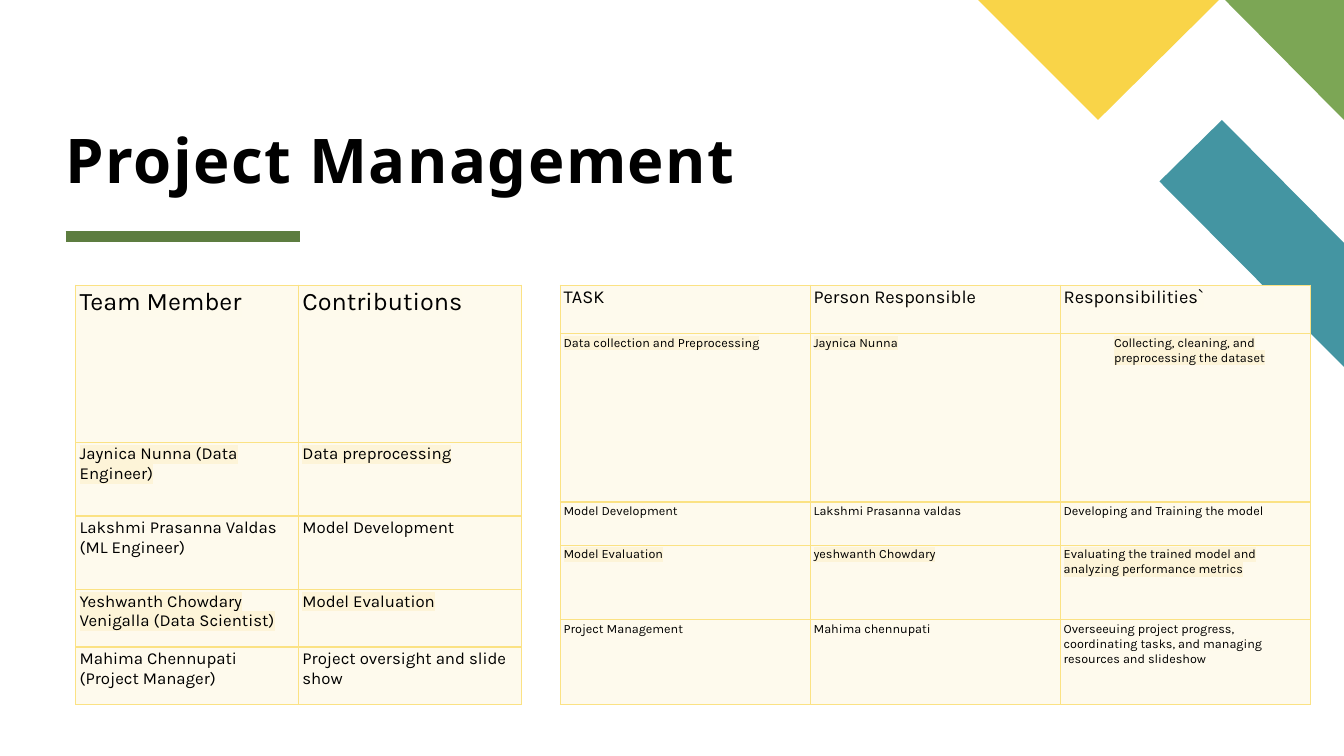
from lxml import etree
from pptx import Presentation
from pptx.dml.color import RGBColor
from pptx.enum.shapes import MSO_CONNECTOR
from pptx.enum.text import MSO_ANCHOR
from pptx.oxml.ns import qn
from pptx.util import Inches, Pt

BOTTOM, TOP = MSO_ANCHOR.BOTTOM, MSO_ANCHOR.TOP
STRAIGHT = MSO_CONNECTOR.STRAIGHT
W, H = 13.33, 7.5
MARGIN, TABLE_TOP = 0.65, 2.83
COLORS = {
    "teal": "4495A2", "green": "7CA655", "yellow": "F9D448", "rule": "5D7D40",
    "text": "000000", "cell": "FEFAED", "border": "FBE284",
    "plain": "FEFAEC", "band": "FDF4D8",
}


def style_run(r, font, size):
    r.font.name, r.font.size = font, Pt(size)
    r.font.color.rgb = RGBColor.from_string(COLORS["text"])


def add_grid(s, left, col_w, row_heights, rows, sizes, inset):
    """Add a bordered table; sizes holds the header and body text sizes."""
    n_cols = len(rows[0])
    frame = s.shapes.add_table(len(rows), n_cols, Inches(left), Inches(TABLE_TOP),
                               Inches(col_w * n_cols), Inches(sum(row_heights)))
    table = frame.table
    table.first_row = table.horz_banding = False
    for col in table.columns:
        col.width = Inches(col_w)
    for i, texts in enumerate(rows):
        table.rows[i].height = Inches(row_heights[i])
        for j, text in enumerate(texts):
            cell = table.cell(i, j)
            cell.margin_left = cell.margin_right = Inches(inset)
            cell.margin_top = cell.margin_bottom = Inches(0.02)
            cell.vertical_anchor = TOP
            cell.fill.solid()
            cell.fill.fore_color.rgb = RGBColor.from_string(COLORS["cell"])
            tcPr = cell._tc.get_or_add_tcPr()
            for k, side in enumerate(("lnL", "lnR", "lnT", "lnB")):
                ln = etree.Element(qn("a:" + side), w=str(Pt(1)))
                fill = etree.SubElement(ln, qn("a:solidFill"))
                etree.SubElement(fill, qn("a:srgbClr"), val=COLORS["border"])
                tcPr.insert(k, ln)
            r = cell.text_frame.paragraphs[0].add_run()
            r.text = text
            style_run(r, "Karla", sizes[min(i, 1)])
            # Odd rows carry the darker text highlight
            highlight = etree.Element(qn("a:highlight"))
            etree.SubElement(highlight, qn("a:srgbClr"),
                             val=COLORS["band" if i % 2 else "plain"])
            r._r.rPr.find(qn("a:solidFill")).addnext(highlight)
    return table


prs = Presentation()
prs.slide_width, prs.slide_height = Inches(W), Inches(H)
s = prs.slides.add_slide(prs.slide_layouts[6])

# Corner decoration
corner = [
    ("teal", [(W, 3.64), (W, 2.41), (12.12, 1.19), (11.5, 1.8)]),
    ("green", [(W, 1.19), (W, 0), (12.15, 0)]),
    ("yellow", [(9.7, 0), (10.89, 1.19), (12.09, 0)]),
]
for color, outline in corner:
    points = [(Inches(x), Inches(y)) for x, y in outline]
    builder = s.shapes.build_freeform(*points[0])
    builder.add_line_segments(points[1:], close=True)
    sp = builder.convert_to_shape()
    sp.shadow.inherit = False
    sp.fill.solid()
    sp.fill.fore_color.rgb = RGBColor.from_string(COLORS[color])
    sp.line.fill.background()

# Title and the rule below it
rule = s.shapes.add_connector(STRAIGHT, Inches(MARGIN), Inches(2.35),
                              Inches(2.98), Inches(2.35))
rule.line.color.rgb = RGBColor.from_string(COLORS["rule"])
rule.line.width = Pt(8)
etree.SubElement(rule._element.spPr, qn("a:effectLst"))

title = s.shapes.add_textbox(Inches(MARGIN), Inches(0.22), Inches(12), Inches(1.72))
tf = title.text_frame
tf.word_wrap = True
tf.vertical_anchor = BOTTOM
tf.margin_left = tf.margin_right = tf.margin_top = tf.margin_bottom = 0
p = tf.paragraphs[0]
p.line_spacing = 0.8
r = p.add_run()
r.text = "Project Management"
style_run(r, "Noto Sans", 44)
r.font.bold = True
r._r.rPr.set("spc", "100")

# Tables
tasks = [
    ("TASK", "Person Responsible", "Responsibilities`"),
    ("Data collection and Preprocessing", "Jaynica Nunna",
     "Collecting, cleaning, and preprocessing the dataset"),
    ("Model Development", "Lakshmi Prasanna valdas", "Developing and Training the model"),
    ("Model Evaluation", "yeshwanth Chowdary",
     "Evaluating the trained model and analyzing performance metrics"),
    ("Project Management", "Mahima chennupati",
     "Overseeuing project progress, coordinating tasks, and managing resources and slideshow"),
]
task_table = add_grid(s, 5.56, 2.48, [0.48, 1.67, 0.43, 0.74, 0.84], tasks, (13, 9), 0.03)
collecting = task_table.cell(1, 2).text_frame.paragraphs[0]
pPr = collecting._p.get_or_add_pPr()
pPr.set("marL", str(Inches(0.5)))
pPr.set("indent", "0")

team = [
    ("Team Member", "Contributions"),
    ("Jaynica Nunna (Data Engineer)", "Data preprocessing"),
    ("Lakshmi Prasanna Valdas (ML Engineer)", "Model Development"),
    ("Yeshwanth Chowdary Venigalla (Data Scientist)", "Model Evaluation"),
    ("Mahima Chennupati (Project Manager)", "Project oversight and slide show"),
]
add_grid(s, 0.75, 2.21, [1.56, 0.73, 0.73, 0.57, 0.57], team, (18, 12), 0.04)

prs.save("out.pptx")
